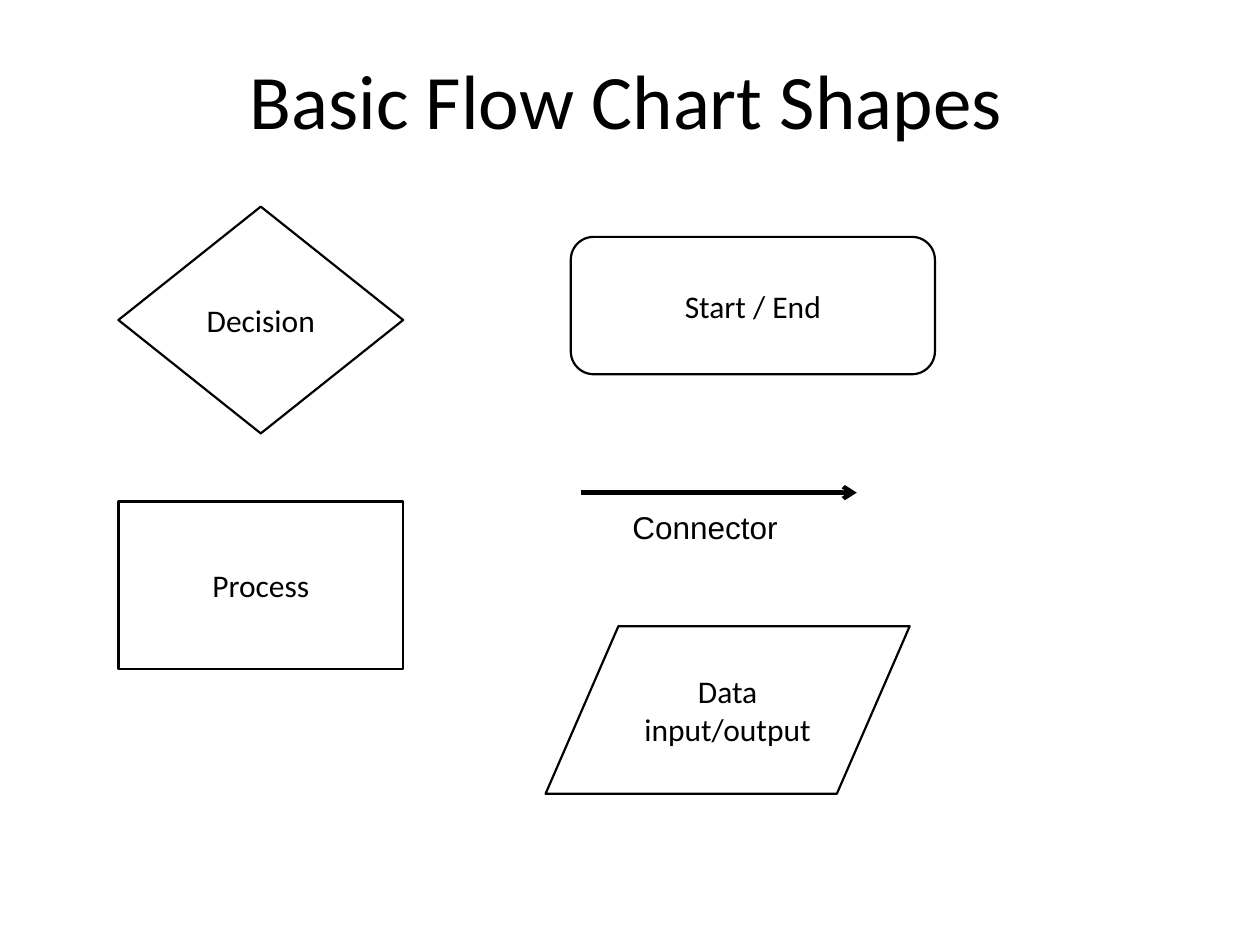
from dataclasses import dataclass

from lxml.etree import SubElement
from pptx import Presentation
from pptx.dml.color import RGBColor
from pptx.enum.shapes import MSO_CONNECTOR, MSO_SHAPE
from pptx.enum.text import MSO_ANCHOR, PP_ALIGN
from pptx.oxml.ns import qn
from pptx.slide import Slide
from pptx.text.text import TextFrame
from pptx.util import Emu, Pt

EMU_PER_PX = 9144  # 100 px to the inch
COLORS = {"background": "FFFFFF", "ink": "000000"}


@dataclass(frozen=True)
class Box:
    left: int
    top: int
    width: int
    height: int

    def emu(self) -> tuple[Emu, Emu, Emu, Emu]:
        return px(self.left), px(self.top), px(self.width), px(self.height)


@dataclass(frozen=True)
class FlowSymbol:
    label: str
    kind: MSO_SHAPE
    box: Box


LEFT_COLUMN, LEFT_WIDTH, RIGHT_WIDTH, BLOCK_HEIGHT = 94, 226, 289, 133
SYMBOLS = [
    FlowSymbol("Decision", MSO_SHAPE.FLOWCHART_DECISION,
               Box(LEFT_COLUMN, 164, LEFT_WIDTH, 180)),
    FlowSymbol("Process", MSO_SHAPE.FLOWCHART_PROCESS,
               Box(LEFT_COLUMN, 398, LEFT_WIDTH, BLOCK_HEIGHT)),
    FlowSymbol("Start / End", MSO_SHAPE.FLOWCHART_ALTERNATE_PROCESS,
               Box(453, 188, RIGHT_WIDTH, 109)),
    FlowSymbol("Data input/output", MSO_SHAPE.FLOWCHART_DATA,
               Box(433, 497, RIGHT_WIDTH, BLOCK_HEIGHT)),
]


def px(length: int) -> Emu:
    return Emu(length * EMU_PER_PX)


def color(name: str) -> RGBColor:
    return RGBColor.from_string(COLORS[name])


def write_text(text_frame: TextFrame, text: str, size: int, font_name: str = "Calibri",
               alignment: PP_ALIGN = PP_ALIGN.CENTER,
               anchor: MSO_ANCHOR = MSO_ANCHOR.MIDDLE) -> None:
    text_frame.text = text
    text_frame.word_wrap = True
    text_frame.vertical_anchor = anchor
    paragraph = text_frame.paragraphs[0]
    paragraph.alignment = alignment
    font = paragraph.runs[0].font
    font.name = font_name
    font.size = Pt(size)
    font.color.rgb = color("ink")


def add_title(slide: Slide, text: str, box: Box) -> None:
    title = slide.shapes.title
    title.left, title.top, title.width, title.height = box.emu()
    write_text(title.text_frame, text, 44)


def add_symbol(slide: Slide, symbol: FlowSymbol) -> None:
    shape = slide.shapes.add_shape(symbol.kind, *symbol.box.emu())
    shape.shadow.inherit = False
    shape.fill.background()
    shape.line.color.rgb = color("ink")
    shape.line.width = Pt(1.25)
    write_text(shape.text_frame, symbol.label, 18)


def add_arrow(slide: Slide, start: int, end: int, y: int) -> None:
    connector = slide.shapes.add_connector(
        MSO_CONNECTOR.STRAIGHT, px(start), px(y), px(end), px(y))
    connector.line.color.rgb = color("ink")
    connector.line.width = Pt(2.5)
    SubElement(connector.line._get_or_add_ln(), qn("a:tailEnd"), type="arrow")
    SubElement(connector._element.spPr, qn("a:effectLst"))


def add_caption(slide: Slide, text: str, box: Box) -> None:
    caption = slide.shapes.add_textbox(*box.emu())
    write_text(caption.text_frame, text, 18, "Arial", PP_ALIGN.LEFT, MSO_ANCHOR.TOP)


def main() -> None:
    presentation = Presentation()
    presentation.slide_width, presentation.slide_height = px(1000), px(750)
    slide = presentation.slides.add_slide(presentation.slide_layouts.get_by_name("Title Only"))
    slide.background.fill.solid()
    slide.background.fill.fore_color.rgb = color("background")

    add_title(slide, "Basic Flow Chart Shapes", Box(47, 16, 900, 125))
    for symbol in SYMBOLS:
        add_symbol(slide, symbol)
    add_arrow(slide, start=461, end=680, y=391)
    add_caption(slide, "Connector", Box(492, 398, 305, 40))

    presentation.save("out.pptx")


if __name__ == "__main__":
    main()
